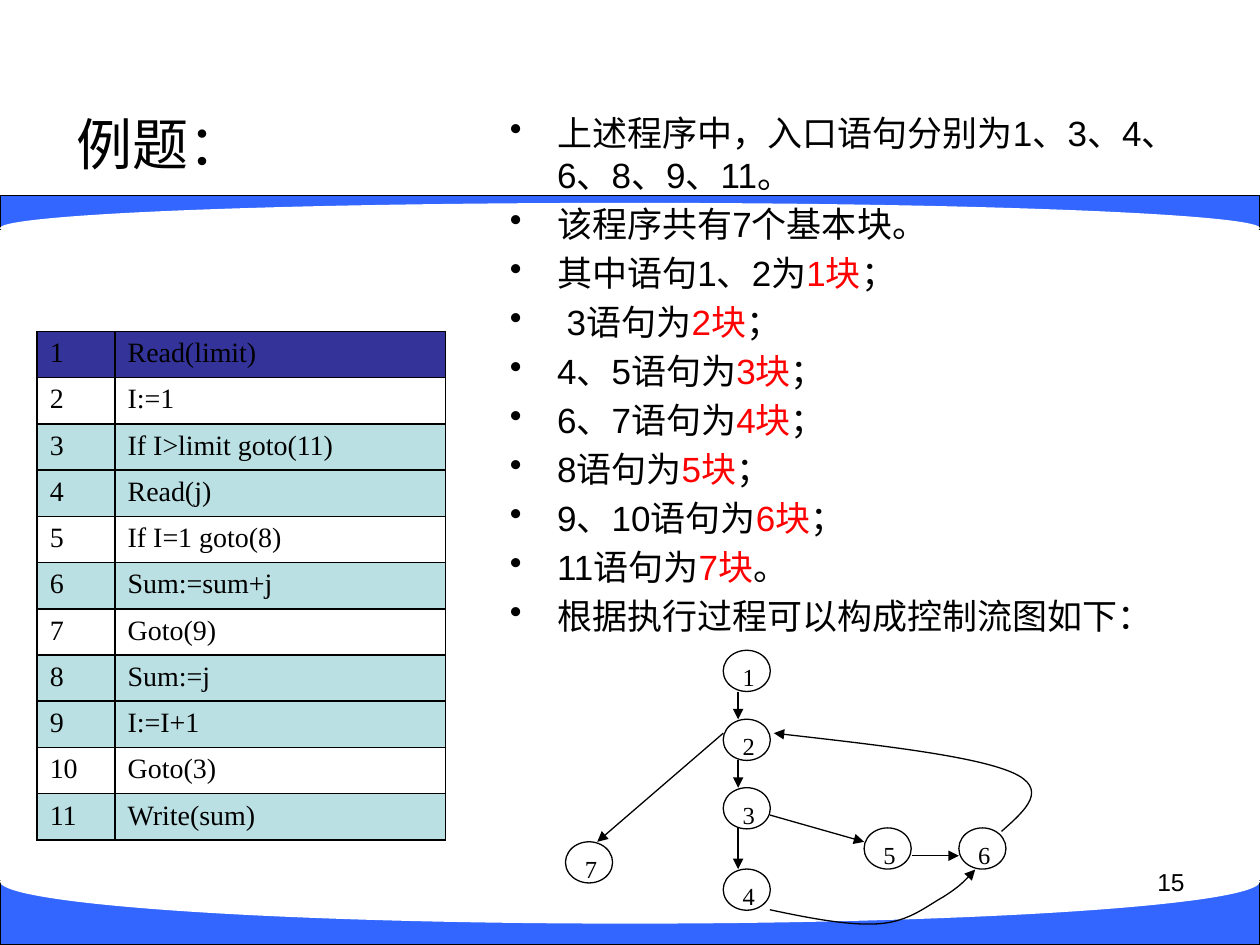
from dataclasses import dataclass
from typing import NamedTuple

from lxml import etree
from pptx import Presentation
from pptx.dml.color import RGBColor
from pptx.enum.shapes import MSO_CONNECTOR, MSO_SHAPE
from pptx.enum.text import MSO_ANCHOR, PP_ALIGN
from pptx.oxml.ns import qn
from pptx.util import Cm, Pt

RECT, OVAL = MSO_SHAPE.RECTANGLE, MSO_SHAPE.OVAL
STRAIGHT = MSO_CONNECTOR.STRAIGHT
TOP, MIDDLE = MSO_ANCHOR.TOP, MSO_ANCHOR.MIDDLE
LEFT, RIGHT, JUSTIFY = PP_ALIGN.LEFT, PP_ALIGN.RIGHT, PP_ALIGN.JUSTIFY


@dataclass(frozen=True)
class Theme:
    black: str = "000000"
    white: str = "FFFFFF"
    red: str = "FF0000"
    band: str = "3366FF"
    header: str = "333399"
    tint: str = "BBE0E3"
    sans: str = "Arial"
    serif: str = "Times New Roman"
    title: float = 32
    body: float = 20
    code: float = 16
    label: float = 14
    line: float = 0.75
    border: float = 1
    indent: float = 0.95


class Box(NamedTuple):
    x: float
    y: float
    w: float
    h: float


class Node(NamedTuple):
    label: str
    x: float
    y: float


class Arrow(NamedTuple):
    x1: float
    y1: float
    x2: float
    y2: float


class Item(NamedTuple):
    text: str
    block: str = ""
    end: str = ""


T = Theme()
NODE_W, NODE_H = 0.95, 0.83
TRUNK_X, DOWN_X = 14.58, 14.88

BANDS = [
    (RECT, Box(0, 3.94, 25.4, 0.69), T.band, T.black),
    (OVAL, Box(0, 4.09, 25.4, 1.02), T.white, None),
    (RECT, Box(0, 17.75, 25.4, 1.3), T.band, T.black),
    (OVAL, Box(0, 16.92, 25.4, 1.7), T.white, None),
]
CODE = ["Read(limit)", "I:=1", "If I>limit goto(11)", "Read(j)", "If I=1 goto(8)", "Sum:=sum+j",
        "Goto(9)", "Sum:=j", "I:=I+1", "Goto(3)", "Write(sum)"]
TINTED_ROWS = {3, 4, 6, 8, 9, 11}
ITEMS = [
    Item("上述程序中，入口语句分别为1、3、4、6、8、9、11。"),
    Item("该程序共有7个基本块。"),
    Item("其中语句1、2为", "1块", "；"),
    Item(" 3语句为", "2块", "；"),
    Item("4、5语句为", "3块", "；"),
    Item("6、7语句为", "4块", "；"),
    Item("8语句为", "5块", "；"),
    Item("9、10语句为", "6块", "；"),
    Item("11语句为", "7块", "。"),
    Item("根据执行过程可以构成控制流图如下："),
]
NODES = [
    Node("1", TRUNK_X, 13.11), Node("2", TRUNK_X, 14.5), Node("3", TRUNK_X, 15.88),
    Node("4", TRUNK_X, 17.52), Node("5", 17.42, 16.69), Node("6", 19.33, 16.69),
    Node("7", 11.4, 16.97),
]
ARROWS = [
    Arrow(DOWN_X, 13.94, DOWN_X, 14.5), Arrow(DOWN_X, 15.32, DOWN_X, 15.88),
    Arrow(DOWN_X, 16.69, DOWN_X, 17.52), Arrow(14.58, 14.78, 12.04, 16.97),
    Arrow(15.52, 16.43, 17.42, 16.97), Arrow(18.39, 17.25, 19.33, 17.25),
]
# Each curve is a start point followed by triples of Bezier points
CURVES = [
    [(15.52, 18.34), (16.36, 18.52), (17.17, 18.67), (17.75, 18.62), (18.34, 18.57),
     (18.69, 18.26), (19.02, 18.08), (19.33, 17.88), (19.51, 17.7), (19.66, 17.53)],
    [(20.19, 16.76), (20.68, 16.33), (21.16, 15.9), (20.4, 15.57), (19.63, 15.24),
     (17.63, 15.01), (15.6, 14.78)],
]


def rgb(color: str) -> RGBColor:
    return RGBColor.from_string(color)


def add_run(p, text: str, size: float, name: str, color: str = T.black) -> None:
    r = p.add_run()
    r.text = text
    for key, value in {"size": Pt(size), "name": name}.items():
        setattr(r.font, key, value)
    r.font.color.rgb = rgb(color)


def hang(p) -> None:
    pPr = p._p.get_or_add_pPr()
    for key, value in {"marL": T.indent, "indent": -T.indent}.items():
        pPr.set(key, str(Cm(value)))


def set_line(line, color: str = T.black) -> None:
    line.color.rgb = rgb(color)
    line.width = Pt(T.line)


def add_head(sp) -> None:
    ln = sp.line._get_or_add_ln()
    etree.SubElement(ln, qn("a:tailEnd"), type="triangle")


def add_shape(s, kind, box: Box, fill: str, line: str | None):
    sp = s.shapes.add_shape(kind, *map(Cm, box))
    sp.shadow.inherit = False
    sp.fill.solid()
    sp.fill.fore_color.rgb = rgb(fill)
    if line:
        set_line(sp.line, line)
    else:
        sp.line.fill.background()
    return sp


def add_text(s, box: Box, anchor=TOP):
    tf = s.shapes.add_textbox(*map(Cm, box)).text_frame
    for key, value in {"word_wrap": True, "vertical_anchor": anchor}.items():
        setattr(tf, key, value)
    return tf


def add_code_table(s, box: Box, widths: tuple[float, float]) -> None:
    tbl = s.shapes.add_table(len(CODE), 2, *map(Cm, box)).table
    tbl.first_row = tbl.horz_banding = False
    for col, width in zip(tbl.columns, widths):
        col.width = Cm(width)
    for n, code in enumerate(CODE, 1):
        tbl.rows[n - 1].height = Cm(box.h / len(CODE))
        for cell, text in zip(tbl.rows[n - 1].cells, (str(n), code)):
            if n == 1 or n in TINTED_ROWS:
                cell.fill.solid()
                cell.fill.fore_color.rgb = rgb(T.header if n == 1 else T.tint)
            else:
                cell.fill.background()
            add_borders(cell)
            p = cell.text_frame.paragraphs[0]
            hang(p)
            add_run(p, text, T.code, T.serif)


def add_borders(cell) -> None:
    tcPr = cell._tc.get_or_add_tcPr()
    for i, side in enumerate(("lnL", "lnR", "lnT", "lnB")):
        ln = etree.Element(qn(f"a:{side}"), w=str(Pt(T.border)))
        fill = etree.SubElement(ln, qn("a:solidFill"))
        etree.SubElement(fill, qn("a:srgbClr"), val=T.black)
        tcPr.insert(i, ln)


def add_items(tf, items: list[Item]) -> None:
    for i, item in enumerate(items):
        p = tf.add_paragraph() if i else tf.paragraphs[0]
        p.space_before = Pt(T.body * 0.2 if i else 0)
        hang(p)
        etree.SubElement(p._p.get_or_add_pPr(), qn("a:buChar"), char="•")
        for text, color in zip(item, (T.black, T.red, T.black)):
            if text:
                add_run(p, text, T.body, T.sans, color)


def add_node(s, node: Node) -> None:
    sp = add_shape(s, OVAL, Box(node.x, node.y, NODE_W, NODE_H), T.white, T.black)
    sp.text_frame.vertical_anchor = TOP
    p = sp.text_frame.paragraphs[0]
    p.alignment = JUSTIFY
    add_run(p, node.label, T.label, T.serif)


def add_arrow(s, arrow: Arrow) -> None:
    sp = s.shapes.add_connector(STRAIGHT, *map(Cm, arrow))
    set_line(sp.line)
    add_head(sp)
    etree.SubElement(sp._element.spPr, qn("a:effectLst"))


def add_curve(s, points: list[tuple[float, float]]) -> None:
    start, *rest = [(Cm(x), Cm(y)) for x, y in points]
    builder = s.shapes.build_freeform(*start)
    builder.add_line_segments(rest, close=False)
    sp = builder.convert_to_shape()
    # Turn every three straight segments into one Bezier segment
    segments = list(sp._element.iter(qn("a:lnTo")))
    for i in range(0, len(segments), 3):
        curve = etree.Element(qn("a:cubicBezTo"))
        segments[i].addprevious(curve)
        for segment in segments[i:i + 3]:
            curve.append(segment[0])
            segment.getparent().remove(segment)
    sp.shadow.inherit = False
    sp.fill.background()
    set_line(sp.line)
    add_head(sp)


def main() -> None:
    prs = Presentation()
    prs.slide_width, prs.slide_height = Cm(25.4), Cm(19.05)
    s = prs.slides.add_slide(prs.slide_layouts[6])

    # Curved bands
    for band in BANDS:
        add_shape(s, *band)

    # Title, code table and page number
    for text, box, anchor, align, size in (
        ("例题：", Box(1.3, 1.85, 7.39, 2.06), MIDDLE, LEFT, T.title),
        ("15", Box(18.21, 17.35, 5.92, 1.32), TOP, RIGHT, T.label),
    ):
        p = add_text(s, box, anchor).paragraphs[0]
        p.alignment = align
        add_run(p, text, size, T.sans)
    add_code_table(s, Box(0.75, 6.68, 8.23, 10.24), (1.57, 6.66))

    # Explanation
    add_items(add_text(s, Box(10.03, 2.13, 14.81, 11.4)), ITEMS)

    # Control flow graph
    for draw, parts in ((add_node, NODES), (add_arrow, ARROWS), (add_curve, CURVES)):
        for part in parts:
            draw(s, part)

    prs.save("out.pptx")


if __name__ == "__main__":
    main()
